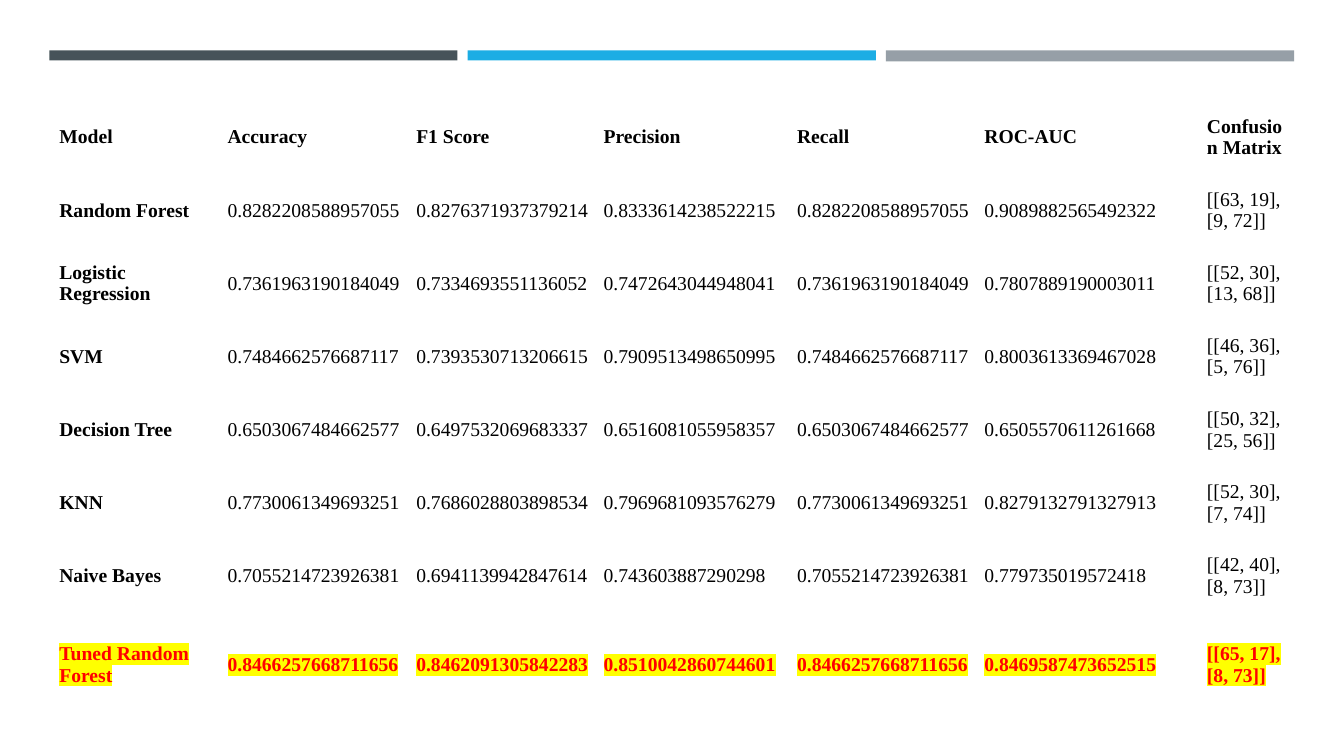
from lxml.etree import Element, SubElement
from pptx import Presentation
from pptx.dml.color import RGBColor
from pptx.enum.shapes import MSO_SHAPE as Shape
from pptx.enum.text import MSO_ANCHOR as Anchor
from pptx.oxml.ns import qn
from pptx.util import Pt

BLACK = RGBColor(0x00, 0x00, 0x00)
RED = RGBColor(0xFF, 0x00, 0x00)
YELLOW = RGBColor(0xFF, 0xFF, 0x00)
SLATE = RGBColor(0x46, 0x53, 0x59)
BLUE = RGBColor(0x1C, 0xAD, 0xE4)
GRAY = RGBColor(0x96, 0x9F, 0xA7)

ROWS = [
    ("Model", "Accuracy", "F1 Score", "Precision", "Recall", "ROC-AUC", "Confusion Matrix"),
    ("Random Forest", "0.8282208588957055", "0.8276371937379214", "0.8333614238522215",
     "0.8282208588957055", "0.9089882565492322", "[[63, 19], [9, 72]]"),
    ("Logistic Regression", "0.7361963190184049", "0.7334693551136052", "0.7472643044948041",
     "0.7361963190184049", "0.7807889190003011", "[[52, 30], [13, 68]]"),
    ("SVM", "0.7484662576687117", "0.7393530713206615", "0.7909513498650995",
     "0.7484662576687117", "0.8003613369467028", "[[46, 36], [5, 76]]"),
    ("Decision Tree", "0.6503067484662577", "0.6497532069683337", "0.6516081055958357",
     "0.6503067484662577", "0.6505570611261668", "[[50, 32], [25, 56]]"),
    ("KNN", "0.7730061349693251", "0.7686028803898534", "0.7969681093576279",
     "0.7730061349693251", "0.8279132791327913", "[[52, 30], [7, 74]]"),
    ("Naive Bayes", "0.7055214723926381", "0.6941139942847614", "0.743603887290298",
     "0.7055214723926381", "0.779735019572418", "[[42, 40], [8, 73]]"),
    ("Tuned Random Forest", "0.8466257668711656", "0.8462091305842283", "0.8510042860744601",
     "0.8466257668711656", "0.8469587473652515", "[[65, 17], [8, 73]]"),
]
LAST = len(ROWS) - 1
WIDTHS = [120.2, 134.8, 133.8, 138.2, 133.8, 159, 70.6]
HEIGHTS = [52.2] * LAST + [74.9]
BARS = [(SLATE, 7.2), (BLUE, 7.2), (GRAY, 7.9)]
BAR_LEFT, BAR_TOP, BAR_WIDTH, BAR_STEP = 35.2, 36, 291.6, 298.8

CELL = {
    "vertical_anchor": Anchor.MIDDLE,
    "margin_left": Pt(5), "margin_right": Pt(5),
    "margin_top": Pt(2.2), "margin_bottom": Pt(2.2),
}
FONT = {"name": "Times New Roman", "size": Pt(14)}
TABLE = {"first_row": False, "horz_banding": False}


def apply(target, values):
    for name, value in values.items():
        setattr(target, name, value)


def mark(run, color):
    light = Element(qn("a:highlight"))
    SubElement(light, qn("a:srgbClr")).set("val", str(color))
    run.font.fill._xPr.find(qn("a:solidFill")).addnext(light)


def draw_bars(slide):
    for i, (color, height) in enumerate(BARS):
        bar = slide.shapes.add_shape(
            Shape.RECTANGLE, Pt(BAR_LEFT + i * BAR_STEP), Pt(BAR_TOP),
            Pt(BAR_WIDTH), Pt(height))
        bar.shadow.inherit = False
        bar.fill.solid()
        bar.fill.fore_color.rgb = color
        bar.line.fill.background()


def fill_cell(cell, text, bold, tuned):
    apply(cell, CELL)
    cell.fill.background()
    run = cell.text_frame.paragraphs[0].add_run()
    run.text = text
    apply(run.font, {**FONT, "bold": bold})
    run.font.color.rgb = RED if tuned else BLACK
    if tuned:
        mark(run, YELLOW)


def draw_scores(slide):
    table = slide.shapes.add_table(
        len(ROWS), len(WIDTHS), Pt(37.4), Pt(72),
        Pt(sum(WIDTHS)), Pt(sum(HEIGHTS))).table
    apply(table, TABLE)
    for column, width in zip(table.columns, WIDTHS):
        column.width = Pt(width)
    for row, height in zip(table.rows, HEIGHTS):
        row.height = Pt(height)
    for r, texts in enumerate(ROWS):
        for c, text in enumerate(texts):
            fill_cell(table.cell(r, c), text, r in (0, LAST) or c == 0, r == LAST)


def main():
    deck = Presentation()
    apply(deck, {"slide_width": Pt(960), "slide_height": Pt(540)})
    slide = deck.slides.add_slide(deck.slide_layouts[6])
    draw_bars(slide)
    draw_scores(slide)
    deck.save("out.pptx")


if __name__ == "__main__":
    main()
